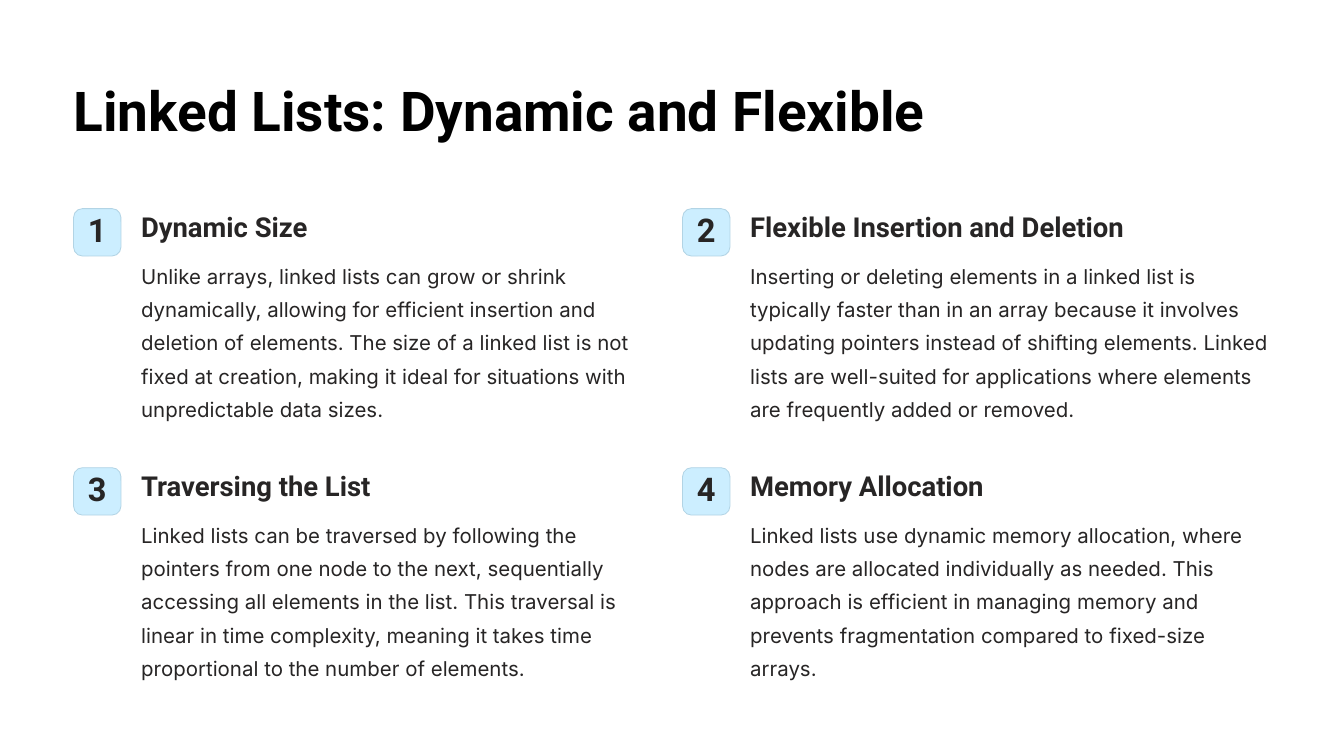
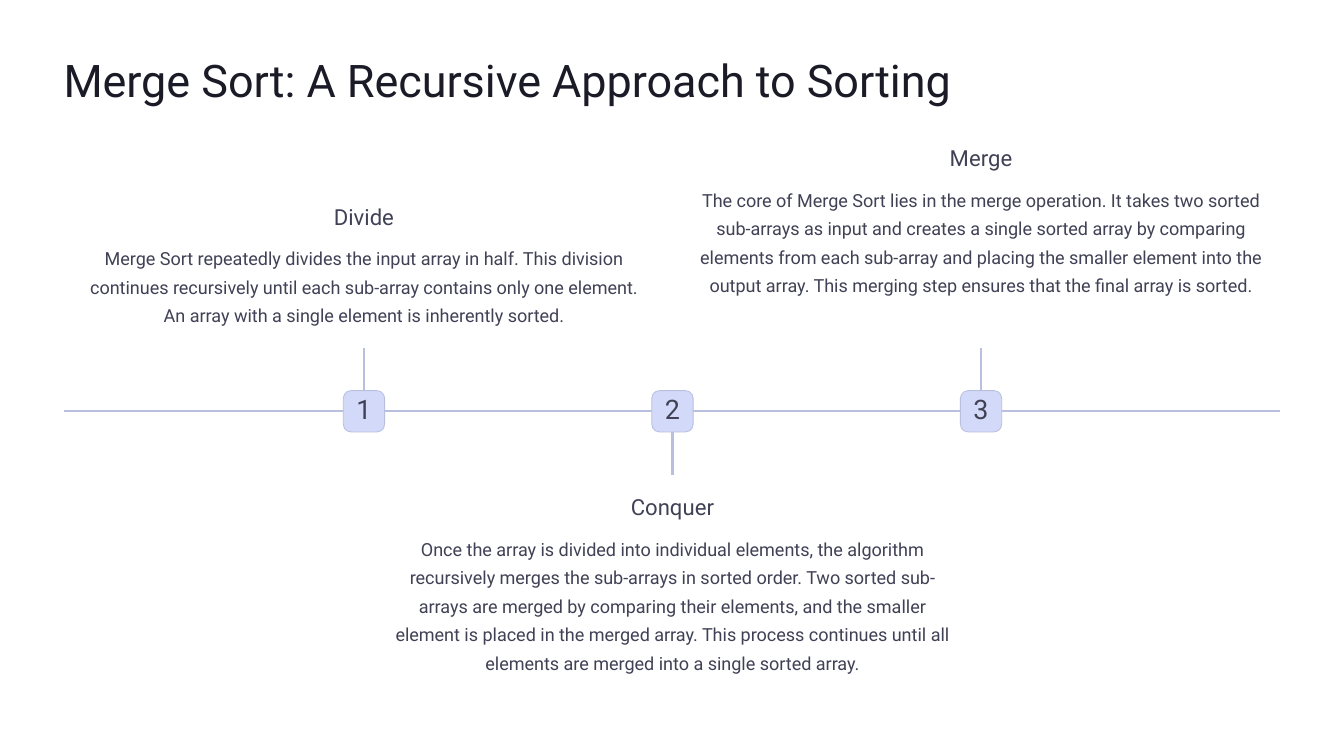
from dataclasses import dataclass

from lxml import etree
from pptx import Presentation
from pptx.dml.color import RGBColor
from pptx.enum import shapes as kinds, text as modes
from pptx.oxml import ns
from pptx.util import Inches, Pt

LEFT, MID = modes.PP_ALIGN.LEFT, modes.PP_ALIGN.CENTER


@dataclass(frozen=True)
class Style:
    size: float
    lead: float
    color: str
    bold: bool = False
    align: int = LEFT
    font: str = "Roboto"


@dataclass(frozen=True)
class Box:
    fill: str
    edge: str
    side: float
    text: Style


class Theme:
    back = "FFFFFF"
    rule = "B8BFDF"
    round = 0.187
    edge = 0.6
    line = 1.5
    list_title = Style(39.2, 48.8, "000000", True)
    list_head = Style(19.6, 24.2, "272525", True)
    list_body = Style(14.6, 23.8, "272525", font="Inter")
    list_box = Box("CCEEFF", "B2D4E5", 0.47, Style(23.3, 23.3, "272525", True, MID))
    step_title = Style(32.1, 40.4, "1B1B27")
    step_head = Style(15.8, 20, "404155", align=MID)
    step_body = Style(12.9, 20.4, "404155", align=MID)
    step_box = Box("D2D9F9", rule, 0.41, Style(19.2, 19.2, "404155", align=MID))


TRAITS = [
    ("Dynamic Size", "Unlike arrays, linked lists can grow or shrink dynamically, allowing for efficient insertion and deletion of elements. The size of a linked list is not fixed at creation, making it ideal for situations with unpredictable data sizes."),
    ("Flexible Insertion and Deletion", "Inserting or deleting elements in a linked list is typically faster than in an array because it involves updating pointers instead of shifting elements. Linked lists are well-suited for applications where elements are frequently added or removed."),
    ("Traversing the List", "Linked lists can be traversed by following the pointers from one node to the next, sequentially accessing all elements in the list. This traversal is linear in time complexity, meaning it takes time proportional to the number of elements."),
    ("Memory Allocation", "Linked lists use dynamic memory allocation, where nodes are allocated individually as needed. This approach is efficient in managing memory and prevents fragmentation compared to fixed-size arrays."),
]

STEPS = [
    ("Divide", 3, "Merge Sort repeatedly divides the input array in half. This division continues recursively until each sub-array contains only one element. An array with a single element is inherently sorted."),
    ("Conquer", 6, "Once the array is divided into individual elements, the algorithm recursively merges the sub-arrays in sorted order. Two sorted sub-arrays are merged by comparing their elements, and the smaller element is placed in the merged array. This process continues until all elements are merged into a single sorted array."),
    ("Merge", 5, "The core of Merge Sort lies in the merge operation. It takes two sorted sub-arrays as input and creates a single sorted array by comparing elements from each sub-array and placing the smaller element into the output array. This merging step ensures that the final array is sorted."),
]


def rgb(color):
    return RGBColor.from_string(color)


def write(shape, words, style, anchor=modes.MSO_ANCHOR.TOP):
    frame = shape.text_frame
    frame.text = words
    frame.word_wrap = True
    frame.auto_size = modes.MSO_AUTO_SIZE.NONE
    frame.vertical_anchor = anchor
    frame.margin_left = frame.margin_right = 0
    frame.margin_top = frame.margin_bottom = 0
    para = frame.paragraphs[0]
    para.alignment = style.align
    para.line_spacing = Pt(style.lead)
    para.font.name = style.font
    para.font.size = Pt(style.size)
    para.font.bold = style.bold
    para.font.color.rgb = rgb(style.color)


def add_slide(deck, title, x, y, high, style):
    slide = deck.slides.add_slide(deck.slide_layouts[5])
    slide.background.fill.solid()
    slide.background.fill.fore_color.rgb = rgb(Theme.back)
    head = slide.shapes.title
    head.left, head.top = Inches(x), Inches(y)
    head.width, head.height = Inches(13.33 - 2 * x), Inches(high)
    write(head, title, style)
    return slide


def add_text(slide, words, x, y, wide, high, style):
    box = slide.shapes.add_textbox(Inches(x), Inches(y), Inches(wide), Inches(high))
    write(box, words, style)


def add_badge(slide, number, x, y, look):
    side = Inches(look.side)
    badge = slide.shapes.add_shape(
        kinds.MSO_SHAPE.ROUNDED_RECTANGLE, Inches(x), Inches(y), side, side)
    badge.adjustments[0] = Theme.round
    badge.shadow.inherit = False
    badge.fill.solid()
    badge.fill.fore_color.rgb = rgb(look.fill)
    badge.line.color.rgb = rgb(look.edge)
    badge.line.width = Pt(Theme.edge)
    write(badge, str(number), look.text, modes.MSO_ANCHOR.MIDDLE)
    return badge


def add_line(slide, x1, y1, x2, y2):
    line = slide.shapes.add_connector(
        kinds.MSO_CONNECTOR.STRAIGHT, Inches(x1), Inches(y1), Inches(x2), Inches(y2))
    line.line.color.rgb = rgb(Theme.rule)
    line.line.width = Pt(Theme.line)
    etree.SubElement(line._element.spPr, ns.qn("a:effectLst"))
    return line


def add_trait(slide, index, head, body):
    row, col = divmod(index, 2)
    x, y = 0.73 + 6.04 * col, 2.07 + 2.57 * row
    add_badge(slide, index + 1, x, y, Theme.list_box)
    add_text(slide, head, x + 0.67, y, 5.16, 0.34, Theme.list_head)
    add_text(slide, body, x + 0.67, y + 0.46, 5.16, 1.66, Theme.list_body)


def add_step(slide, index, head, rows, body):
    axis, reach, wide = 4.08, 0.63, 5.58
    x = 6.67 + 3.06 * (index - 1)
    below = index % 2 == 1
    high = 0.29 * rows
    top = 4.88 if below else 3.26 - 0.39 - high
    half = Theme.step_box.side / 2
    badge = add_badge(slide, index + 1, x - half, axis - half, Theme.step_box)
    stem = add_line(slide, x, axis, x, axis + reach if below else axis - reach)
    stem.begin_connect(badge, 2 if below else 0)
    add_text(slide, head, x - wide / 2, top, wide, 0.28, Theme.step_head)
    add_text(slide, body, x - wide / 2, top + 0.39, wide, high, Theme.step_body)


def main():
    deck = Presentation()
    deck.slide_width, deck.slide_height = Inches(13.33), Inches(7.5)

    slide = add_slide(deck, "Linked Lists: Dynamic and Flexible",
                      0.73, 0.74, 0.68, Theme.list_title)
    for index, (head, body) in enumerate(TRAITS):
        add_trait(slide, index, head, body)

    slide = add_slide(deck, "Merge Sort: A Recursive Approach to Sorting",
                      0.63, 0.5, 0.56, Theme.step_title)
    add_line(slide, 0.63, 4.08, 12.7, 4.08)
    for index, (head, rows, body) in enumerate(STEPS):
        add_step(slide, index, head, rows, body)

    deck.save("out.pptx")


if __name__ == "__main__":
    main()
